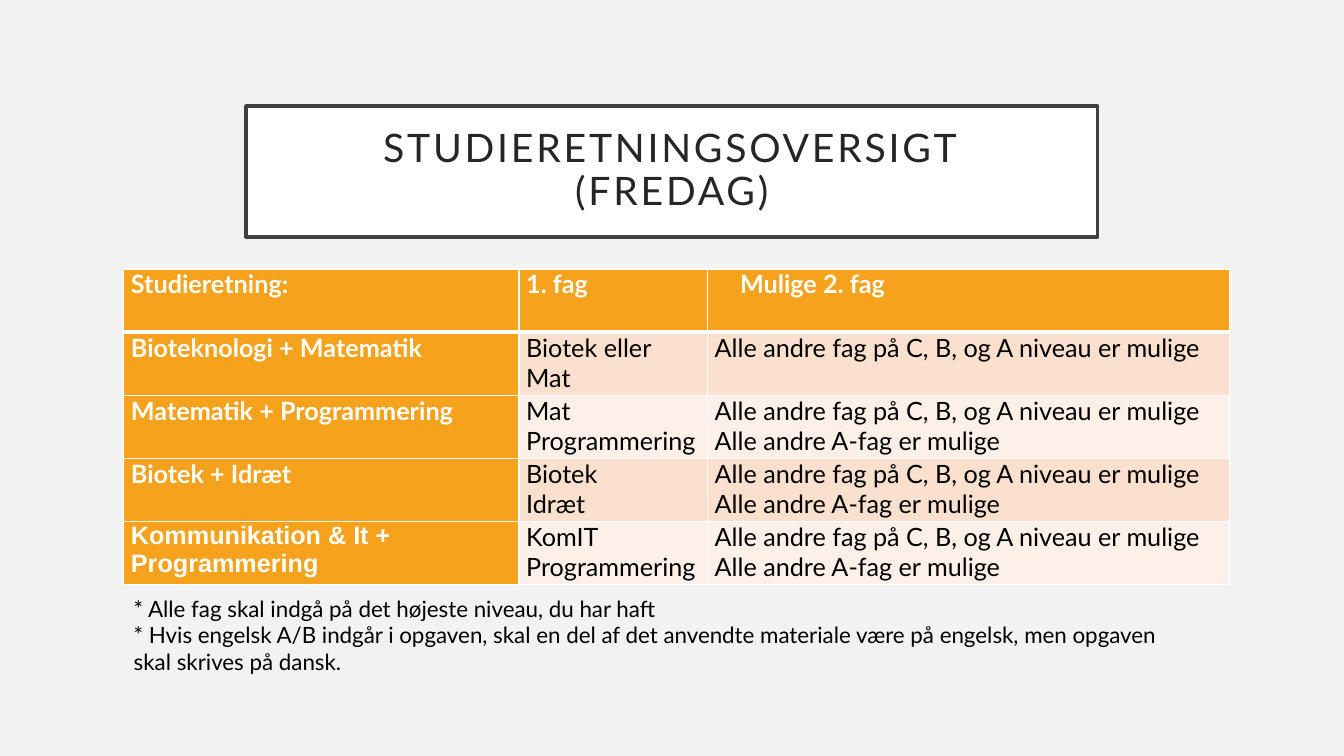
from dataclasses import dataclass

from lxml.etree import SubElement
from pptx import Presentation
from pptx.dml.color import RGBColor as Color
from pptx.enum.text import MSO_ANCHOR as Anchor, MSO_AUTO_SIZE as AutoSize, PP_ALIGN as Align
from pptx.oxml.ns import qn
from pptx.slide import Slide
from pptx.table import _Cell as Cell
from pptx.text.text import TextFrame
from pptx.util import Cm, Pt


@dataclass(frozen=True)
class Theme:
    background: str = "F2F2F2"
    white: str = "FFFFFF"
    black: str = "000000"
    frame: str = "404040"
    title: str = "262626"
    accent: str = "F6A21D"
    bands: tuple[str, str] = ("FBE0CD", "FDF0E8")
    font: str = "Lato"
    title_size: int = 28
    table_size: int = 18
    note_size: int = 16


@dataclass(frozen=True)
class StudyLine:
    name: str
    first_subject: str
    second_subject: str
    name_font: str = "Lato"


THEME = Theme()
ANY_LEVEL = "Alle andre fag på C, B, og A niveau er mulige"
BOTH_OPTIONS = f"{ANY_LEVEL}\nAlle andre A-fag er mulige"
HEADINGS = ("Studieretning:", "1. fag", "Mulige 2. fag")
STUDY_LINES = (
    StudyLine("Bioteknologi + Matematik", "Biotek eller Mat", ANY_LEVEL),
    StudyLine("Matematik + Programmering", "Mat\nProgrammering", BOTH_OPTIONS),
    StudyLine("Biotek + Idræt", "Biotek\nIdræt", BOTH_OPTIONS),
    StudyLine("Kommunikation & It + Programmering", "KomIT\nProgrammering", BOTH_OPTIONS, "Arial"),
)
NOTES = (
    "* Alle fag skal indgå på det højeste niveau, du har haft\n"
    "* Hvis engelsk A/B indgår i opgaven, skal en del af det anvendte materiale "
    "være på engelsk, men opgaven skal skrives på dansk."
)
LEFT = Cm(3.12)
COLUMN_WIDTHS = (Cm(9.96), Cm(4.75), Cm(13.16))
ROW_HEIGHT = Cm(1.59)


def write(text_frame: TextFrame, text: str, size: int, color: str,
          bold: bool = False, font: str = THEME.font) -> None:
    text_frame.text = text
    for paragraph in text_frame.paragraphs:
        for run in paragraph.runs:
            run.font.name = font
            run.font.size = Pt(size)
            run.font.bold = bold
            run.font.color.rgb = Color.from_string(color)


def add_borders(cell: Cell, bottom: float, top: float) -> None:
    properties = cell._tc.get_or_add_tcPr()
    for side, width in (("L", 1), ("R", 1), ("T", top), ("B", bottom)):
        line = SubElement(properties, qn(f"a:ln{side}"), w=str(Pt(width)))
        fill = SubElement(line, qn("a:solidFill"))
        SubElement(fill, qn("a:srgbClr"), val=THEME.white)


def draw_title(slide: Slide) -> None:
    title = slide.shapes.title
    title.left, title.top, title.width, title.height = Cm(6.2), Cm(2.67), Cm(21.46), Cm(3.3)
    title.fill.solid()
    title.fill.fore_color.rgb = Color.from_string(THEME.white)
    title.line.color.rgb = Color.from_string(THEME.frame)
    title.line.width = Pt(2.5)

    frame = title.text_frame
    frame.word_wrap = True
    frame.auto_size = AutoSize.NONE
    frame.vertical_anchor = Anchor.MIDDLE
    frame.margin_left = frame.margin_right = frame.margin_top = frame.margin_bottom = Cm(0.5)
    write(frame, "STUDIERETNINGSOVERSIGT\v(FREDAG)", THEME.title_size, THEME.title)
    paragraph = frame.paragraphs[0]
    paragraph.alignment = Align.CENTER
    paragraph.line_spacing = 0.9
    for run in paragraph.runs:
        run.font._element.set("spc", "200")


def draw_table(slide: Slide) -> None:
    rows = [HEADINGS] + [(line.name, line.first_subject, line.second_subject)
                         for line in STUDY_LINES]
    table = slide.shapes.add_table(len(rows), len(HEADINGS), LEFT, Cm(6.78),
                                   sum(COLUMN_WIDTHS), ROW_HEIGHT * len(rows)).table
    for column, width in zip(table.columns, COLUMN_WIDTHS):
        column.width = width

    for row_index, texts in enumerate(rows):
        table.rows[row_index].height = ROW_HEIGHT
        for column_index, text in enumerate(texts):
            cell = table.cell(row_index, column_index)
            is_header = row_index == 0
            is_label = is_header or column_index == 0
            is_name = column_index == 0 and not is_header
            font = STUDY_LINES[row_index - 1].name_font if is_name else THEME.font
            cell.margin_left = cell.margin_right = Cm(0.18)
            cell.margin_top = cell.margin_bottom = 0
            add_borders(cell, bottom=3 if is_header else 1, top=3 if row_index == 1 else 1)
            cell.fill.solid()
            cell.fill.fore_color.rgb = Color.from_string(
                THEME.accent if is_label else THEME.bands[(row_index - 1) % 2])
            write(cell.text_frame, text, THEME.table_size,
                  THEME.white if is_label else THEME.black, is_label, font)

    # Indent the last heading
    heading = table.cell(0, len(HEADINGS) - 1).text_frame.paragraphs[0]
    heading._p.get_or_add_pPr().set("marL", str(Cm(0.64)))


def draw_notes(slide: Slide) -> None:
    frame = slide.shapes.add_textbox(LEFT, Cm(14.86), Cm(27.03), Cm(2.31)).text_frame
    frame.word_wrap = True
    frame.auto_size = AutoSize.SHAPE_TO_FIT_TEXT
    write(frame, NOTES, THEME.note_size, THEME.black)


# Slide
presentation = Presentation()
presentation.slide_width, presentation.slide_height = Cm(33.87), Cm(19.05)
slide = presentation.slides.add_slide(presentation.slide_layouts.get_by_name("Title Only"))
slide.background.fill.solid()
slide.background.fill.fore_color.rgb = Color.from_string(THEME.background)

# Content
draw_title(slide)
draw_table(slide)
draw_notes(slide)

presentation.save("out.pptx")
